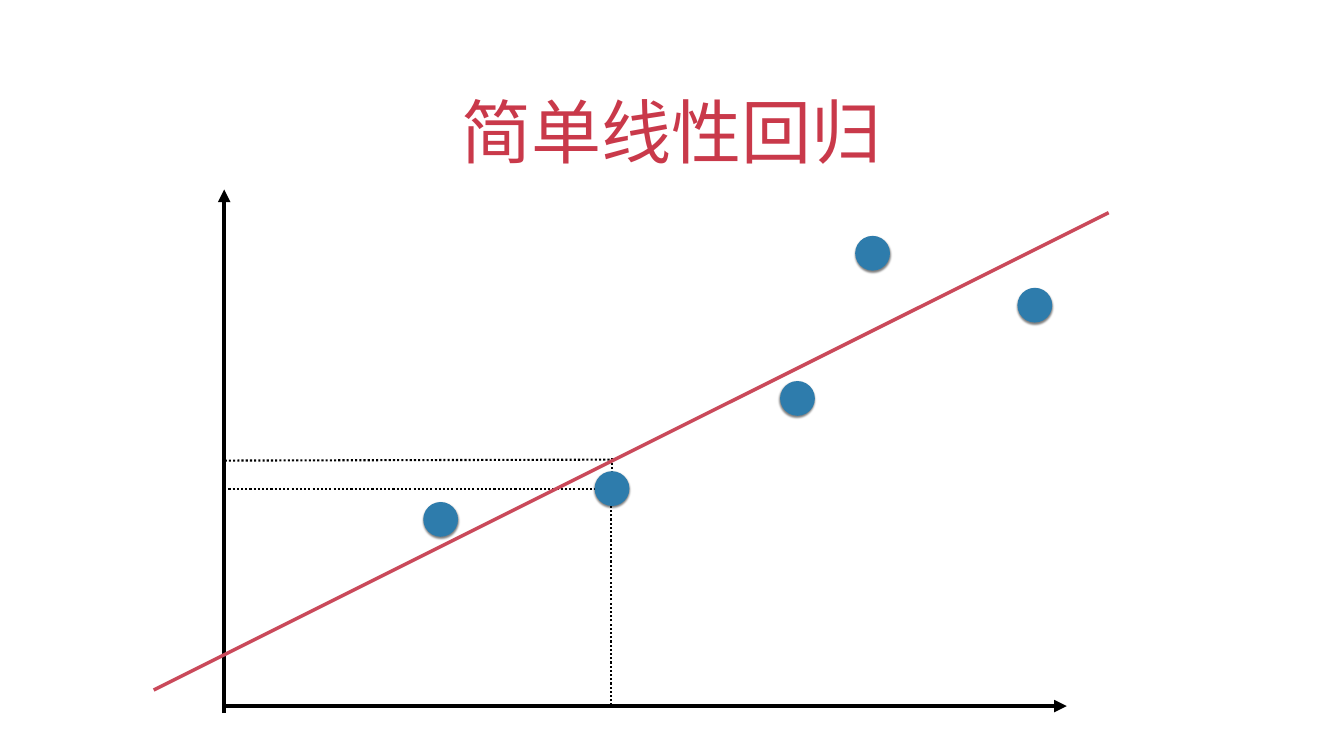
from lxml import etree
from pptx import Presentation
from pptx.dml.color import RGBColor
from pptx.enum import dml, shapes, text
from pptx.oxml import parse_xml
from pptx.oxml.ns import qn
from pptx.util import Pt

BLACK = RGBColor(0x00, 0x00, 0x00)
BLUE = RGBColor(0x2E, 0x7C, 0xAC)
RED = RGBColor(0xC9, 0x39, 0x4A)
ROSE = RGBColor(0xCA, 0x49, 0x5A)

TITLE = "简单线性回归"
GUIDES = [
    (874.8, 699.8, 874.8, 654.5),
    (321, 658, 878.4, 656.6),
    (873.4, 1008, 873.4, 707.8),
    (320.4, 698.4, 892.8, 698.4),
]
AXES = [(319.7, 1008.7, 1524.2, 1008.7), (320.4, 1018.8, 320.4, 270.7)]
FIT = (219.6, 985.7, 1584, 303.8)
DOTS = [(629.6, 742), (1139.4, 569.2), (1246.7, 361.8), (1478.5, 436)]
PICKED = (874.4, 698)
SIZE = 49.7

SHADOW = (
    '<a:effectLst xmlns:a="http://schemas.openxmlformats.org/drawingml/2006/main">'
    f'<a:outerShdw blurRad="{Pt(3)}" dist="{Pt(2)}" dir="5400000" rotWithShape="0">'
    '<a:srgbClr val="000000"><a:alpha val="50000"/></a:srgbClr>'
    "</a:outerShdw></a:effectLst>"
)


def style(item, look):
    for key, val in look.items():
        setattr(item, key, val)


def draw_line(slide, ends, color, width, dash=None, arrow=False):
    line = slide.shapes.add_connector(
        shapes.MSO_CONNECTOR.STRAIGHT, *(Pt(v) for v in ends))
    line.line.color.rgb = color
    style(line.line, {"width": Pt(width), "dash_style": dash})
    if arrow:
        etree.SubElement(line.line._get_or_add_ln(), qn("a:tailEnd"), type="triangle")
    etree.SubElement(line._element.spPr, qn("a:effectLst"))


def draw_dot(slide, x, y):
    dot = slide.shapes.add_shape(
        shapes.MSO_SHAPE.OVAL, Pt(x - SIZE / 2), Pt(y - SIZE / 2), Pt(SIZE), Pt(SIZE))
    dot.fill.solid()
    dot.fill.fore_color.rgb = BLUE
    dot.line.fill.background()
    dot._element.spPr.append(parse_xml(SHADOW))


def main():
    deck = Presentation()
    style(deck, {"slide_width": Pt(1920.24), "slide_height": Pt(1080)})
    slide = deck.slides.add_slide(deck.slide_layouts[0])
    sub = slide.placeholders[1]._element
    sub.getparent().remove(sub)

    head = slide.shapes.title
    style(head, {"left": Pt(139.7), "top": Pt(91.4),
                 "width": Pt(1640.2), "height": Pt(159.8)})
    frame = head.text_frame
    frame.text = TITLE
    style(frame, {"auto_size": text.MSO_AUTO_SIZE.NONE, "word_wrap": True,
                  "vertical_anchor": text.MSO_ANCHOR.BOTTOM})
    style(frame, {f"margin_{side}": Pt(4.3)
                  for side in ("left", "top", "right", "bottom")})
    para = frame.paragraphs[0]
    para.alignment = text.PP_ALIGN.CENTER
    font = para.runs[0].font
    style(font, {"name": "Arial", "size": Pt(100)})
    font.color.rgb = RED

    for ends in GUIDES:
        draw_line(slide, ends, BLACK, 3, dash=dml.MSO_LINE.ROUND_DOT)
    for ends in AXES:
        draw_line(slide, ends, BLACK, 6, arrow=True)
    for x, y in DOTS:
        draw_dot(slide, x, y)
    draw_line(slide, FIT, ROSE, 5)
    draw_dot(slide, *PICKED)
    deck.save("out.pptx")


if __name__ == "__main__":
    main()
